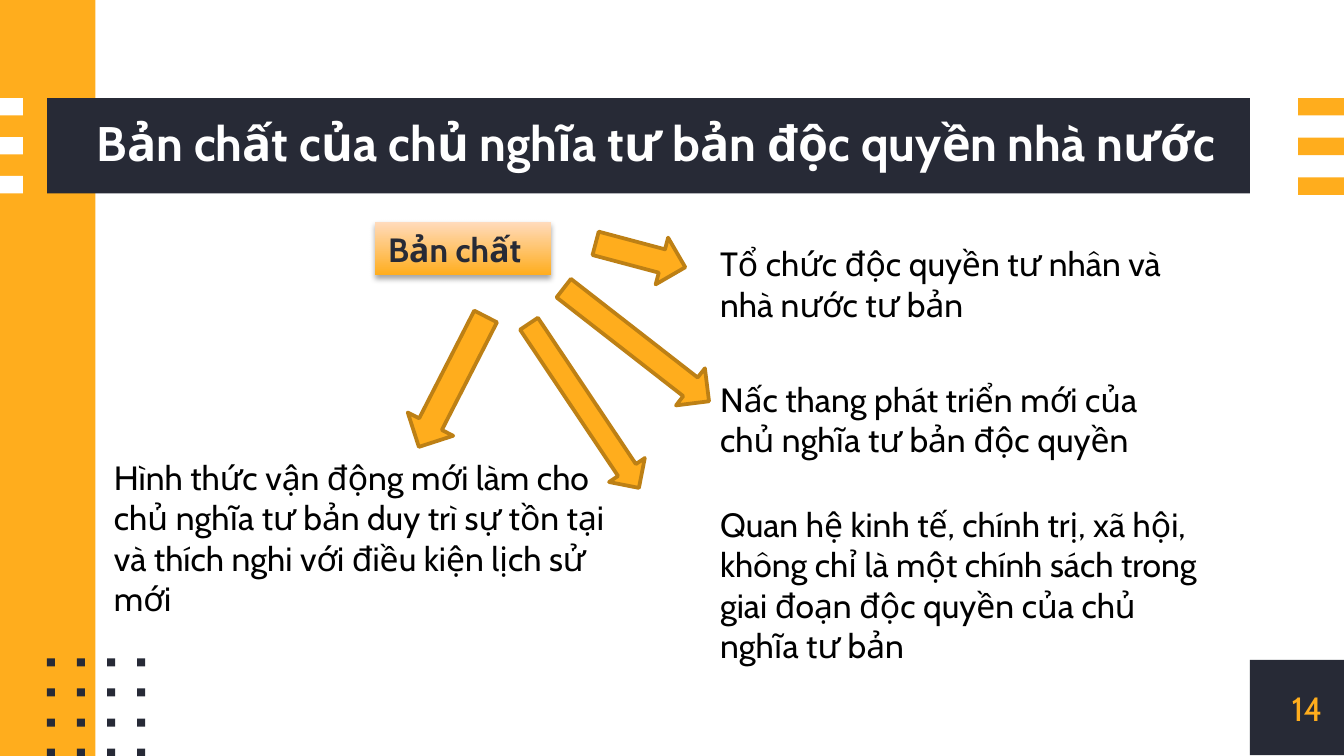
from collections import namedtuple
from dataclasses import dataclass
from itertools import product

from lxml.etree import SubElement as Sub
from pptx import Presentation
from pptx.dml.color import RGBColor as RGB
from pptx.enum.shapes import MSO_SHAPE as Shape
from pptx.enum.text import MSO_ANCHOR as Anchor, PP_ALIGN as Align
from pptx.oxml.ns import qn
from pptx.util import Inches, Pt

Box = namedtuple("Box", "x y w h")


@dataclass(frozen=True)
class Theme:
    """Colours, font and type sizes of the slide."""
    dark: RGB = RGB(0x27, 0x2A, 0x36)
    gold: RGB = RGB(0xFF, 0xAD, 0x1D)
    peach: RGB = RGB(0xFF, 0xDB, 0xBD)
    edge: RGB = RGB(0xBD, 0x80, 0x15)
    white: RGB = RGB(0xFF, 0xFF, 0xFF)
    black: RGB = RGB(0, 0, 0)
    font: str = "Cabin"
    title: int = 26
    body: int = 18


THEME = Theme()


def place(box):
    """Turn a box in inches into lengths."""
    return [Inches(v) for v in box]


def shape(slide, box, fill, kind=Shape.RECTANGLE):
    """Add a plain filled shape without line or shadow."""
    item = slide.shapes.add_shape(kind, *place(box))
    item.shadow.inherit = False
    item.fill.solid()
    item.fill.fore_color.rgb = fill
    item.line.fill.background()
    return item


def write(frame, lines, color, size=THEME.body, bold=False, align=Align.LEFT):
    """Write each line as a paragraph with one run."""
    frame.word_wrap = True
    for i, line in enumerate(lines):
        para = frame.add_paragraph() if i else frame.paragraphs[0]
        para.alignment = align
        run = para.add_run()
        run.text = line
        font = run.font
        font.name, font.size, font.bold = THEME.font, Pt(size), bold
        font.color.rgb = color


def label(slide, box, lines, color, **style):
    """Add a text box centred in height and without insets."""
    frame = slide.shapes.add_textbox(*place(box)).text_frame
    frame.margin_left = frame.margin_right = 0
    frame.margin_top = frame.margin_bottom = 0
    frame.vertical_anchor = Anchor.MIDDLE
    write(frame, lines, color, **style)
    return frame


def bars(slide, box, fill):
    """Stack three equal bars over the height of the box."""
    thick = 0.13
    step = (box.h - thick) / 2
    for i in range(3):
        shape(slide, Box(box.x, box.y + i * step, box.w, thick), fill)


def dots(slide, box):
    """Fill the box with a four by four grid of squares."""
    side = 0.06
    step = (box.w - side) / 3
    for row, col in product(range(4), repeat=2):
        spot = Box(box.x + col * step, box.y + row * step, side, side)
        shape(slide, spot, THEME.dark)


def frame(slide, box):
    """Draw the side band, the title bar, the stripes and the dots."""
    side, top = 0.71, box.y + 0.73
    shape(slide, Box(box.x, box.y, side, box.h), THEME.gold)
    shape(slide, Box(box.x + 0.35, top, 8.95, side), THEME.dark)
    bars(slide, Box(box.x, top, 0.17, side), THEME.white)
    bars(slide, Box(box.x + box.w - 0.34, top, 0.34, 0.72), THEME.gold)
    dots(slide, Box(box.x + 0.35, box.y + 4.9, 0.73, 0.73))


def title(slide, box, text):
    """Write the slide title."""
    head = label(slide, box, [text], THEME.white, size=THEME.title, bold=True)
    head.paragraphs[0].line_spacing = 0.9


def number(slide, box, text):
    """Draw the page number on its dark corner."""
    shape(slide, Box(box.x, box.y, 0.71, box.h), THEME.dark)
    label(slide, box, [text], THEME.gold, align=Align.CENTER)


def arrow(slide, box, turn):
    """Draw a block arrow turned by some degrees."""
    item = shape(slide, box, THEME.gold, Shape.RIGHT_ARROW)
    item.line.color.rgb = THEME.edge
    item.line.width = Pt(2)
    item.rotation = turn


def hub(slide, box, text):
    """Draw the shaded tag from which the arrows spread."""
    item = shape(slide, box, THEME.gold)
    item.fill.gradient()
    item.fill.gradient_angle = 90
    for stop, color in zip(item.fill.gradient_stops, (THEME.gold, THEME.peach)):
        stop.color.rgb = color
    glow = item._element.spPr.find(qn("a:effectLst"))
    cast = Sub(glow, qn("a:outerShdw"), blurRad=str(Pt(3.1)),
               dist=str(Pt(1.8)), dir="5400000", rotWithShape="0")
    tint = Sub(cast, qn("a:srgbClr"), val=str(THEME.black))
    Sub(tint, qn("a:alpha"), val="35000")
    write(item.text_frame, [text], THEME.dark, bold=True)


def point(slide, box, lines):
    """Write one point of the essence."""
    text = slide.shapes.add_textbox(*place(box)).text_frame
    write(text, lines, THEME.black)


def essence(slide, box):
    """Lay out the tag, its four arrows and its four points."""
    points = [
        (4.51, 0.11, 5.6, 0.71,
         ["Tổ chức độc quyền tư nhân và", "nhà nước tư bản"]),
        (4.51, 1.12, 3.82, 0.71,
         ["Nấc thang phát triển mới của", "chủ nghĩa tư bản độc quyền"]),
        (4.51, 2.05, 3.88, 1.31,
         ["Quan hệ kinh tế, chính trị, xã hội,",
          "không chỉ là một chính sách trong",
          "giai đoạn độc quyền của chủ nghĩa tư bản"]),
        (0, 1.7, 4.13, 1.01,
         ["Hình thức vận động mới làm cho",
          "chủ nghĩa tư bản duy trì sự tồn tại",
          "và thích nghi với điều kiện lịch sử mới"]),
    ]
    arrows = [
        (3.67, 0.07, 0.69, 0.36, 14.9),
        (3.3, 0.74, 1.37, 0.35, 37.9),
        (2.86, 1.21, 1.47, 0.32, 56.2),
        (2.07, 1, 1.09, 0.38, 117.1),
    ]
    for draw, rows in ((point, points), (arrow, arrows)):
        for x, y, w, h, what in rows:
            draw(slide, Box(box.x + x, box.y + y, w, h), what)
    hub(slide, Box(box.x + 2.04, box.y, 1.31, 0.4), "Bản chất")


def main():
    """Build and save the slide."""
    deck = Presentation()
    wide = 10
    page = Box(0, 0, wide, wide * 9 / 16)
    deck.slide_width, deck.slide_height = Inches(page.w), Inches(page.h)
    slide = deck.slides.add_slide(deck.slide_layouts[6])
    frame(slide, page)
    title(slide, Box(0.72, 0.73, 10.25, 0.71),
          "Bản chất của chủ nghĩa tư bản độc quyền nhà nước")
    number(slide, Box(9.3, 4.91, 0.85, 0.71), "14")
    essence(slide, Box(0.75, 1.65, 8.39, 3.36))
    deck.save("out.pptx")


if __name__ == "__main__":
    main()
